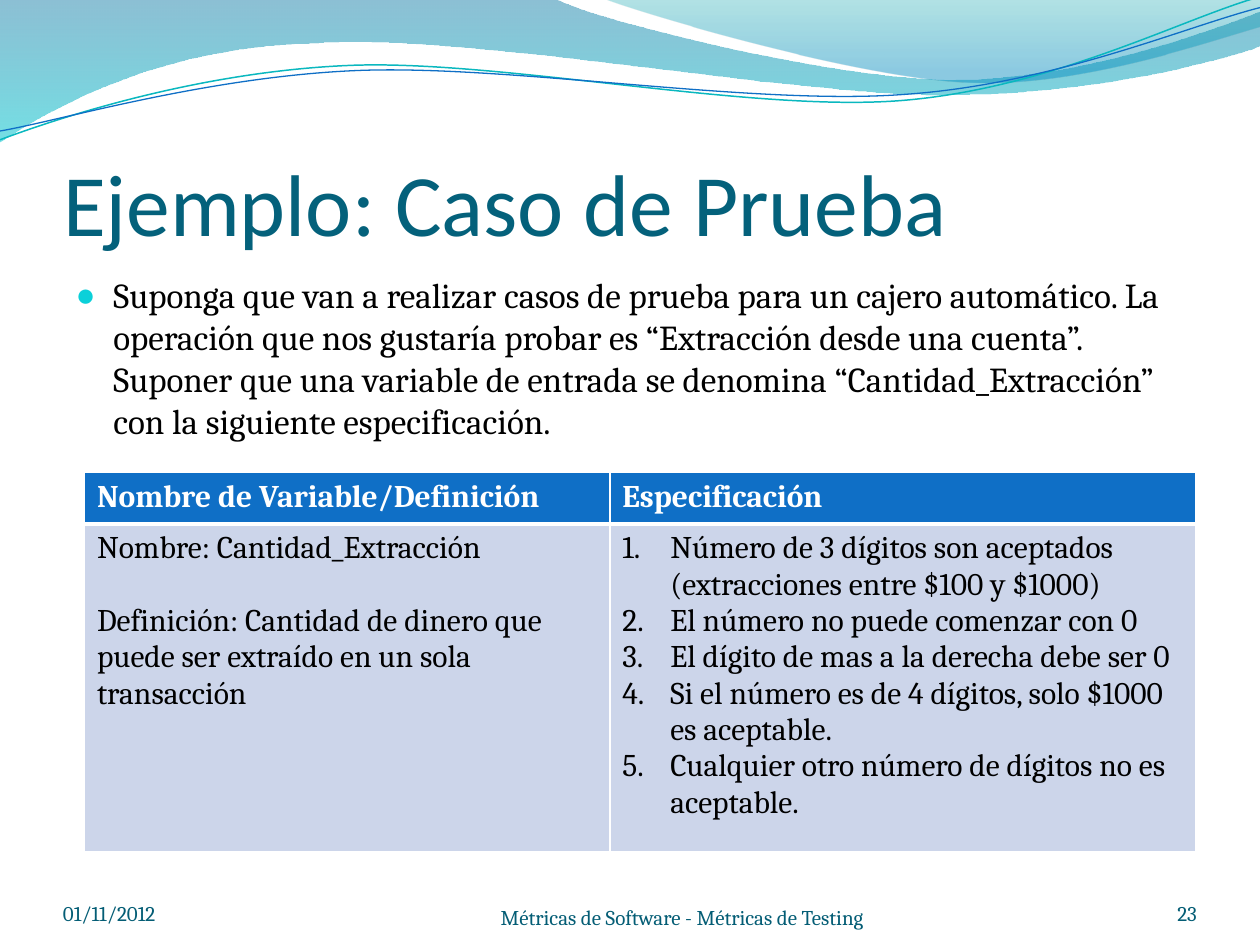
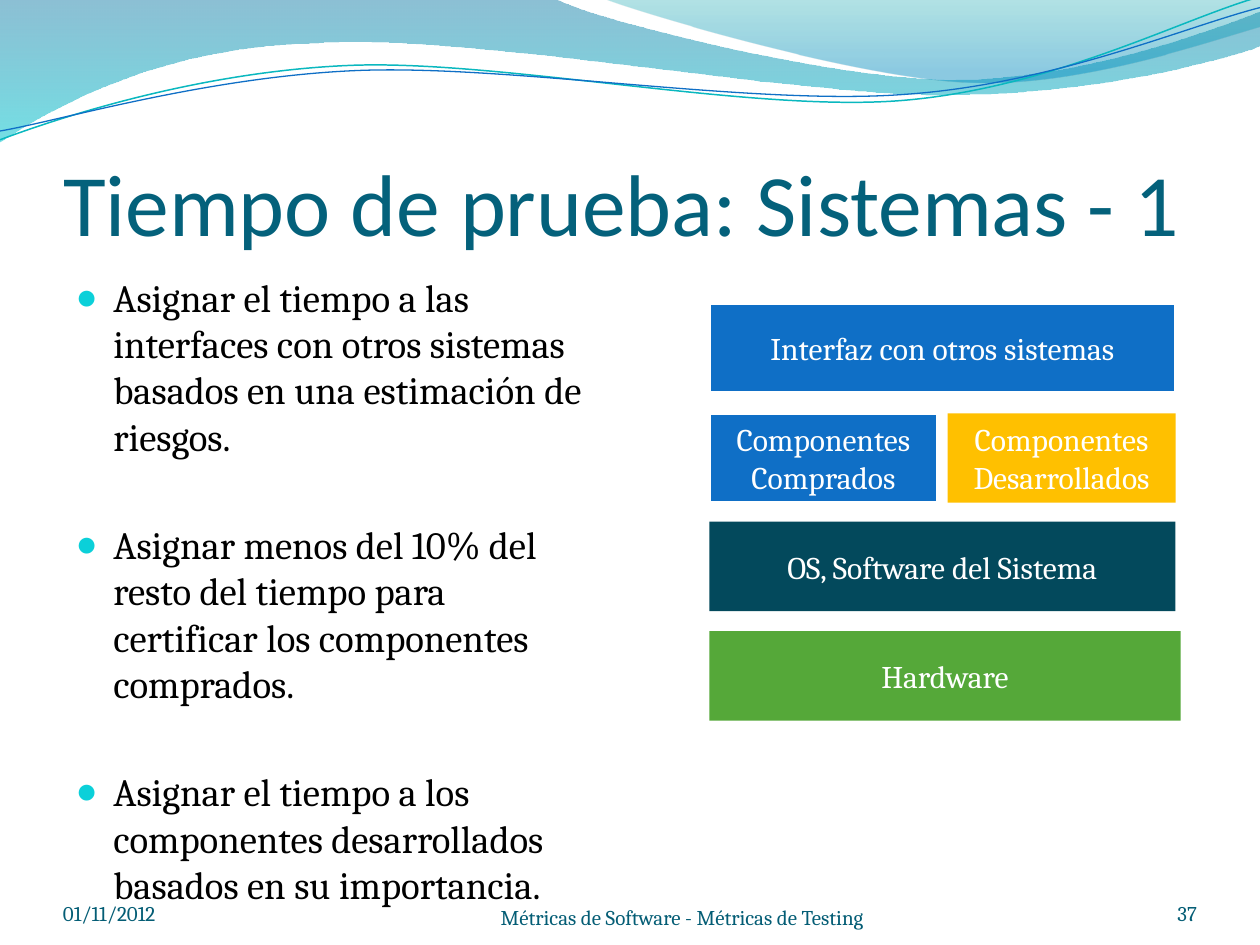
from dataclasses import dataclass
from math import cos, radians, sin
from typing import Callable, NamedTuple, Optional

from lxml import etree
from pptx import Presentation
from pptx.dml.color import RGBColor
from pptx.enum.shapes import MSO_SHAPE
from pptx.enum.text import MSO_ANCHOR, MSO_AUTO_SIZE, PP_ALIGN
from pptx.oxml.ns import qn
from pptx.util import Inches, Pt

RECTANGLE = MSO_SHAPE.RECTANGLE
LEFT, CENTER, RIGHT = PP_ALIGN.LEFT, PP_ALIGN.CENTER, PP_ALIGN.RIGHT
TOP, MIDDLE, BOTTOM = MSO_ANCHOR.TOP, MSO_ANCHOR.MIDDLE, MSO_ANCHOR.BOTTOM
FIXED_SIZE = MSO_AUTO_SIZE.NONE


@dataclass(frozen=True)
class Theme:
    heading_font: str = "Calibri"
    text_font: str = "Cambria"
    title: str = "04617B"
    ink: str = "000000"
    white: str = "FFFFFF"
    blue: str = "0F6FC6"
    teal: str = "0AB8BF"
    bullet: str = "0BD0D9"
    footer: str = "045D75"
    table_body: str = "CCD5EA"
    yellow: str = "FFC000"
    dark: str = "03495C"
    green: str = "55A839"
    title_size: float = 50
    intro_size: float = 20
    list_size: float = 22.1
    label_size: float = 18
    footer_size: float = 12


THEME = Theme()


class Box(NamedTuple):
    left: float
    top: float
    width: float
    height: float

    def lengths(self) -> list:
        return [Inches(value) for value in self]


class GradientStop(NamedTuple):
    position: float
    color: str
    opacity: int


class Wave(NamedTuple):
    box: Box
    start: tuple
    segments: list  # two numbers: straight line; six numbers: Bézier curve
    gradient: tuple = ()
    line: Optional[tuple] = None
    rotation: float = 0


class Layer(NamedTuple):
    label: str
    box: Box
    color: str
    outlined: bool = False


class FooterPart(NamedTuple):
    text: str
    box: Box
    align: PP_ALIGN


WAVES = [
    Wave(Box(-0.01, -0.01, 10.02, 1.14), (0, 0), [
        (4.4, -0.01),
        (4.76, 0.17, 6.64, 0.63, 7.58, 0.63),
        (8.53, 0.63, 9.58, 0.26, 10, 0.09),
        (10.01, 0.36),
        (9.83, 0.44, 8.7, 0.76, 7.46, 0.75),
        (6.22, 0.75, 3.82, 0.28, 2.57, 0.34),
        (1.29, 0.36, 0.46, 0.83, -0.01, 1.13),
        (0, 0),
    ], gradient=(GradientStop(0, "0074A1", 45), GradientStop(1, "00C6CF", 55))),
    Wave(Box(4.79, -0.01, 5.21, 0.7), (4.79, -0.01), [
        (5.09, 0.11, 6.82, 0.62, 7.69, 0.65),
        (8.56, 0.69, 9.61, 0.32, 10, 0.21),
        (10, 0),
        (4.79, -0.01),
    ], gradient=(GradientStop(0, "00A1A9", 30), GradientStop(0.8, "008BBF", 45))),
    Wave(Box(-0.02, 0.22, 10.02, 0.71), (0, 1.11), [
        (0.48, 0.93, 1.58, 0.57, 2.77, 0.52),
        (3.95, 0.47, 5.93, 0.89, 7.13, 0.8),
        (8.33, 0.71, 9.38, 0.15, 9.98, -0.02),
    ], line=(THEME.teal, 0.85), rotation=357.3),
    Wave(Box(-0.02, 0.3, 10.03, 0.58), (0, 1.04), [
        (0.47, 0.96, 1.64, 0.61, 2.83, 0.56),
        (4.03, 0.51, 5.97, 0.84, 7.17, 0.75),
        (8.36, 0.67, 9.41, 0.21, 10, 0.06),
    ], line=(THEME.blue, 0.75), rotation=357.3),
]

INTRO = ["Suponga que van a realizar casos de prueba para un cajero automático. La "
         "operación que nos gustaría probar es “Extracción desde una cuenta”. Suponer que "
         "una variable de entrada se denomina “Cantidad_Extracción” con la siguiente "
         "especificación."]
TABLE_HEADINGS = ["Nombre de Variable/Definición", "Especificación"]
VARIABLE = ["Nombre: Cantidad_Extracción",
            "Definición: Cantidad de dinero que puede ser extraído en un sola transacción"]
RULES = ["Número de 3 dígitos son aceptados (extracciones entre $100 y $1000)",
         "El número no puede comenzar con 0",
         "El dígito de mas a la derecha debe ser 0",
         "Si el número es de 4 dígitos, solo $1000 es aceptable.",
         "Cualquier otro número de dígitos no es aceptable."]
TIME_ADVICE = [
    "Asignar el tiempo a las interfaces con otros sistemas basados en una estimación de riesgos.",
    "Asignar menos del 10% del resto del tiempo para certificar los componentes comprados.",
    "Asignar el tiempo a los componentes desarrollados basados en su importancia."]


def rgb(color: str) -> RGBColor:
    return RGBColor.from_string(color)


# Text
def add_bullet(properties) -> None:
    color = etree.SubElement(properties, qn("a:buClr"))
    etree.SubElement(color, qn("a:srgbClr"), val=THEME.bullet)
    etree.SubElement(properties, qn("a:buSzPct"), val="95000")
    etree.SubElement(properties, qn("a:buChar"), char="●")


def add_number(properties) -> None:
    etree.SubElement(properties, qn("a:buFont"), typeface="+mj-lt")
    etree.SubElement(properties, qn("a:buAutoNum"), type="arabicPeriod")


def write_text(frame, paragraphs: list, *, size: float, color: str = THEME.ink,
               font: str = THEME.text_font, bold: bool = False, align: PP_ALIGN = LEFT,
               before: float = 0, gap: float = 0, indent: float = 0,
               marker: Optional[Callable] = None) -> None:
    """Space the first paragraph by before, each later one by before + gap."""
    frame.word_wrap = True
    for index, text in enumerate(paragraphs):
        paragraph = frame.add_paragraph() if index else frame.paragraphs[0]
        paragraph.alignment = align
        paragraph.space_before = Pt(before + (gap if index else 0))
        run = paragraph.add_run()
        run.text = text
        run.font.name, run.font.size, run.font.bold = font, Pt(size), bold
        run.font.color.rgb = rgb(color)
        if marker:
            properties = paragraph._p.get_or_add_pPr()
            properties.set("marL", str(Inches(indent)))
            properties.set("indent", str(-Inches(indent)))
            marker(properties)


def set_frame(frame, anchor: MSO_ANCHOR, insets: tuple = (0.1, 0.05, 0.1, 0.05)) -> None:
    frame.auto_size = FIXED_SIZE
    frame.vertical_anchor = anchor
    (frame.margin_left, frame.margin_top,
     frame.margin_right, frame.margin_bottom) = map(Inches, insets)


def place(shape, box: Box) -> None:
    shape.left, shape.top, shape.width, shape.height = box.lengths()


# Wave band
def local_point(wave: Wave, x: float, y: float) -> dict:
    """Turn a slide position into the unrotated coordinates of the wave's box."""
    box, angle = wave.box, radians(-wave.rotation)
    dx, dy = x - box.left - box.width / 2, y - box.top - box.height / 2
    return {"x": str(Inches(box.width / 2 + dx * cos(angle) - dy * sin(angle))),
            "y": str(Inches(box.height / 2 + dx * sin(angle) + dy * cos(angle)))}


def trace_outline(shape, wave: Wave) -> None:
    place(shape, wave.box)
    shape.rotation = wave.rotation
    outline = next(shape.element.iter(qn("a:path")))
    for step in list(outline):
        outline.remove(step)
    outline.set("w", str(shape.width))
    outline.set("h", str(shape.height))
    tags = ["a:moveTo"] + ["a:lnTo" if len(segment) == 2 else "a:cubicBezTo"
                           for segment in wave.segments]
    for tag, numbers in zip(tags, [wave.start, *wave.segments]):
        step = etree.SubElement(outline, qn(tag))
        for x, y in zip(numbers[::2], numbers[1::2]):
            etree.SubElement(step, qn("a:pt"), local_point(wave, x, y))
    if wave.gradient:
        etree.SubElement(outline, qn("a:close"))


def draw_wave(slide, wave: Wave):
    builder = slide.shapes.build_freeform(*map(Inches, wave.start), scale=1.0)
    builder.add_line_segments([tuple(map(Inches, segment[-2:])) for segment in wave.segments],
                              close=False)
    shape = builder.convert_to_shape()
    trace_outline(shape, wave)
    shape.shadow.inherit = False
    if wave.line:
        color, width = wave.line
        shape.fill.background()
        shape.line.color.rgb = rgb(color)
        shape.line.width = Pt(width)
        return shape
    shape.line.fill.background()
    shape.fill.gradient()
    shape.fill.gradient_angle = 270
    for stop, wanted in zip(shape.fill.gradient_stops, wave.gradient):
        stop.position = wanted.position
        stop.color.rgb = rgb(wanted.color)
    for color, wanted in zip(shape.element.iter(qn("a:srgbClr")), wave.gradient):
        etree.SubElement(color, qn("a:alpha"), val=str(wanted.opacity * 1000))
    return shape


def move_waves_to_layout(slide, layout) -> None:
    layout_tree = layout.element.cSld.spTree
    for index, wave in enumerate(WAVES):
        element = draw_wave(slide, wave).element
        element.nvSpPr.cNvPr.set("id", str(100 + index))
        layout_tree.insert(2 + index, element)


# Shared slide parts
def add_page(deck, title: str, number: int, body_box: Box, body: list, **body_format):
    slide = deck.slides.add_slide(deck.slide_layouts[1])
    heading, content = slide.placeholders[0], slide.placeholders[1]
    place(heading, Box(0.5, 0.77, 9, 1.25))
    set_frame(heading.text_frame, BOTTOM, (0, 0.05, 0, 0))
    write_text(heading.text_frame, [title], size=THEME.title_size, color=THEME.title,
               font=THEME.heading_font)
    place(content, body_box)
    set_frame(content.text_frame, TOP)
    write_text(content.text_frame, body, indent=0.3, marker=add_bullet, **body_format)
    for part in (
        FooterPart("01/11/2012", Box(0.5, 6.95, 2.33, 0.4), LEFT),
        FooterPart("Métricas de Software - Métricas de Testing",
                   Box(3.58, 6.98, 3.67, 0.4), CENTER),
        FooterPart(str(number), Box(8.67, 6.95, 0.83, 0.4), RIGHT),
    ):
        frame = slide.shapes.add_textbox(*part.box.lengths()).text_frame
        set_frame(frame, BOTTOM, (0, 0, 0, 0))
        write_text(frame, [part.text], size=THEME.footer_size, color=THEME.footer,
                   align=part.align)
    return slide


# Specification table
def style_cell(cell, fill: str, top: float, bottom: float) -> None:
    cell.fill.solid()
    cell.fill.fore_color.rgb = rgb(fill)
    properties = cell._tc.get_or_add_tcPr()
    widths = {"a:lnL": 1, "a:lnR": 1, "a:lnT": top, "a:lnB": bottom}
    for index, (tag, width) in enumerate(widths.items()):
        border = etree.Element(qn(tag), w=str(Pt(width)))
        solid = etree.SubElement(border, qn("a:solidFill"))
        etree.SubElement(solid, qn("a:srgbClr"), val=THEME.white)
        properties.insert(index, border)


def add_specification(slide) -> None:
    columns, rows = (4.17, 4.65), (0.41, 2.6)
    box = Box(0.67, 3.75, sum(columns), sum(rows))
    table = slide.shapes.add_table(2, 2, *box.lengths()).table
    for column, width in zip(table.columns, columns):
        column.width = Inches(width)
    for row, height in zip(table.rows, rows):
        row.height = Inches(height)
    for index, heading in enumerate(TABLE_HEADINGS):
        style_cell(table.cell(0, index), THEME.blue, top=1, bottom=3)
        style_cell(table.cell(1, index), THEME.table_body, top=3, bottom=1)
        write_text(table.cell(0, index).text_frame, [heading], size=THEME.label_size,
                   color=THEME.white, bold=True)
    write_text(table.cell(1, 0).text_frame, VARIABLE, size=THEME.label_size, gap=20.8)
    write_text(table.cell(1, 1).text_frame, RULES, size=THEME.label_size,
               indent=0.38, marker=add_number)


# System layers
def add_layers(slide) -> None:
    left, width, half, height = 5.63, 3.7, 1.81, 0.71
    tops = [round(2.41 + 2.6 * row / 3, 2) for row in range(4)]
    for layer in (
        Layer("Interfaz con otros sistemas", Box(left, tops[0], width, height), THEME.blue, True),
        Layer("Componentes Comprados", Box(left, tops[1], half, height), THEME.blue, True),
        Layer("Componentes Desarrollados", Box(left + width - half, tops[1], half, height),
              THEME.yellow),
        Layer("OS, Software del Sistema", Box(left, tops[2], width, height), THEME.dark),
        Layer("Hardware", Box(left, tops[3], 3.74, height), THEME.green),
    ):
        block = slide.shapes.add_shape(RECTANGLE, *layer.box.lengths())
        block.shadow.inherit = False
        block.fill.solid()
        block.fill.fore_color.rgb = rgb(layer.color)
        if layer.outlined:
            block.line.color.rgb = rgb(THEME.white)
            block.line.width = Pt(2)
        else:
            block.line.fill.background()
        set_frame(block.text_frame, MIDDLE)
        write_text(block.text_frame, [layer.label], size=THEME.label_size,
                   color=THEME.white, align=CENTER)


def main() -> None:
    deck = Presentation()
    deck.slide_width, deck.slide_height = Inches(10), Inches(7.5)
    test_case = add_page(deck, "Ejemplo: Caso de Prueba", 23, Box(0.5, 2.12, 9, 1.55),
                         INTRO, size=THEME.intro_size, before=3.5)
    move_waves_to_layout(test_case, deck.slide_layouts[1])
    add_specification(test_case)
    test_time = add_page(deck, "Tiempo de prueba: Sistemas - 1", 37, Box(0.5, 2.12, 4.34, 4.8),
                         TIME_ADVICE, size=THEME.list_size, before=4, gap=31.2)
    add_layers(test_time)
    deck.save("out.pptx")


if __name__ == "__main__":
    main()
